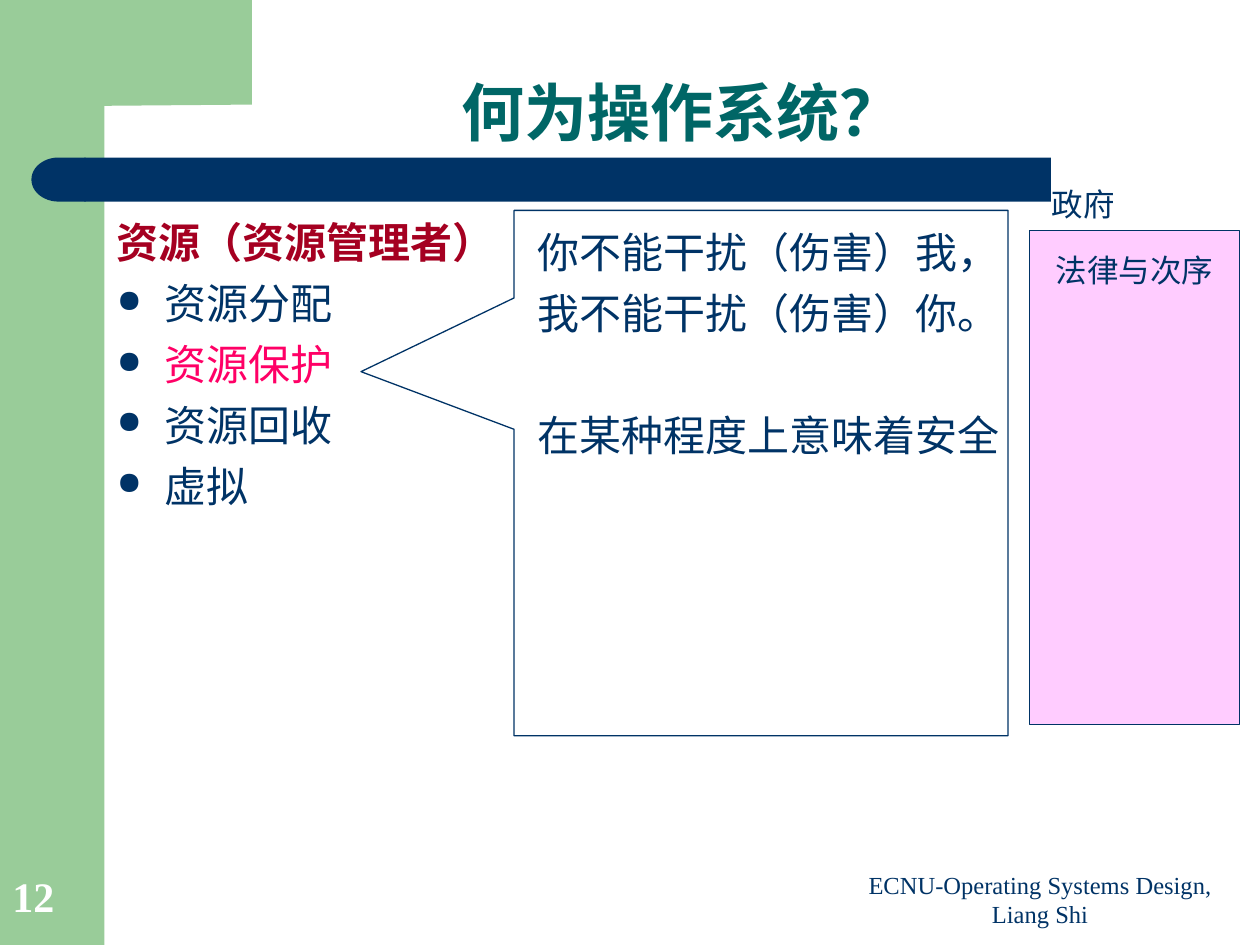
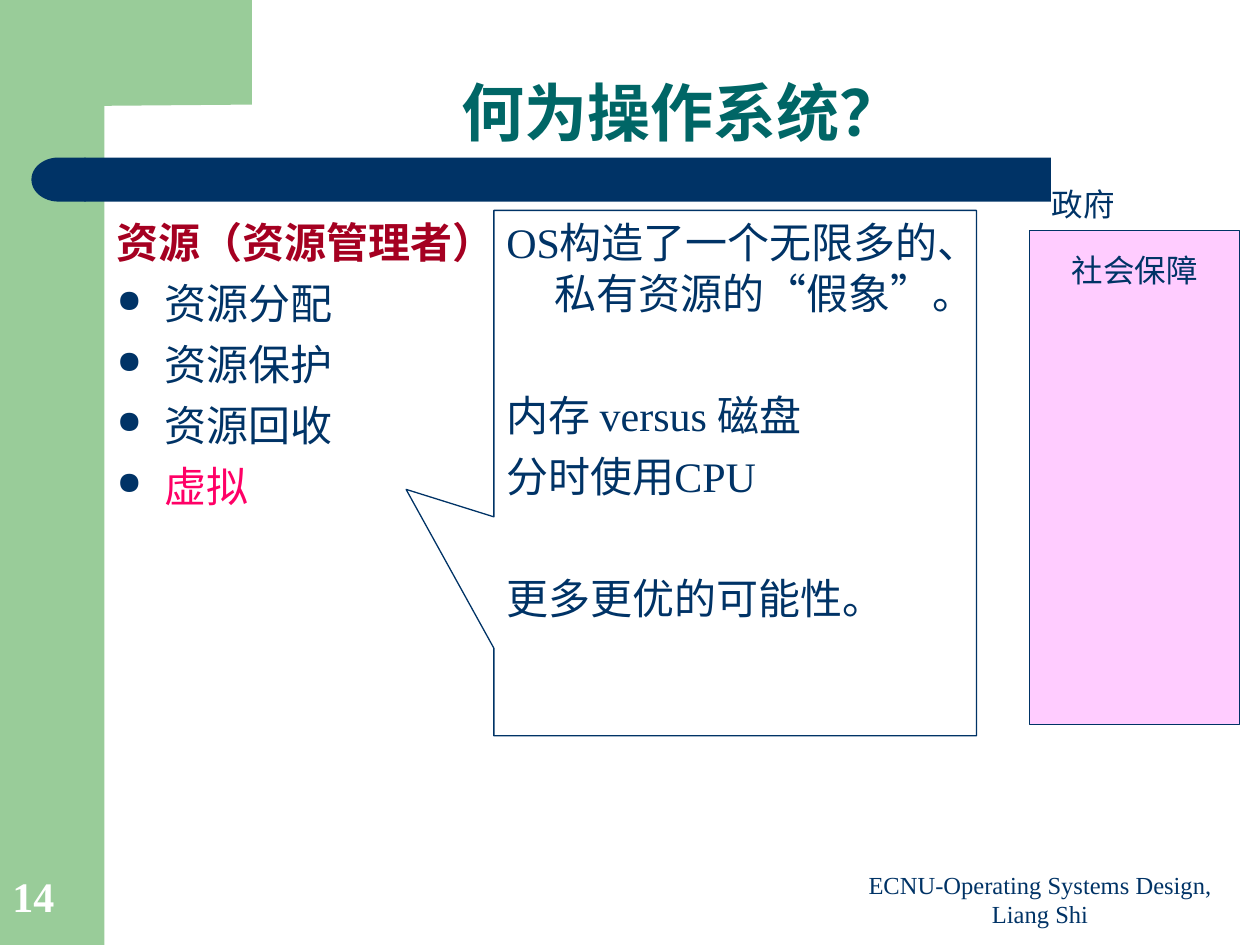
from dataclasses import dataclass

from lxml.etree import SubElement
from pptx import Presentation
from pptx.dml.color import RGBColor
from pptx.enum.shapes import MSO_SHAPE
from pptx.enum.text import MSO_ANCHOR, PP_ALIGN
from pptx.oxml.ns import qn
from pptx.util import Inches, Pt


@dataclass(frozen=True)
class Theme:
    green: str = "99CC99"
    navy: str = "003366"
    teal: str = "006666"
    crimson: str = "A50021"
    pink: str = "FF0066"
    lilac: str = "FFCCFF"
    white: str = "FFFFFF"
    sans: str = "Arial"
    serif: str = "Times New Roman"
    chinese: str = "Noto Sans CJK SC"
    title_size: float = 36
    body_size: float = 24
    label_size: float = 18
    footer_size: float = 14
    line_width: float = 0.75
    gap: float = 6
    section_gap: float = 41
    indent: float = 0.38


THEME = Theme()
TITLE = "何为操作系统？"
HEADING = "资源（资源管理者）"
DUTIES = ["资源分配", "资源保护", "资源回收", "虚拟"]
GOVERNMENT = "政府"
FOOTER = "ECNU-Operating Systems Design, Liang Shi"
CORNER = [(0.5, 0), (2, 0), (2, 0.83), (0.83, 0.84), (0.75, 0.86), (0.71, 0.92),
          (0.68, 1.04), (0.67, 1.16), (0.67, 1.28), (0.5, 1.28)]

PAGES = [
    {
        "number": "12",
        "highlight": "资源保护",
        "role": ("法律与次序", THEME.chinese),
        "callout": (4.08, 1.67, 3.92, 4.17),
        "pointer": (-0.81, -0.193),
        "notes_area": (4.17, 1.75, 4.12, 3.44),
        "notes": [
            (THEME.gap, [("你不能干扰（伤害）我，", THEME.sans)]),
            (THEME.gap, [("我不能干扰（伤害）你。", THEME.sans)]),
            (THEME.section_gap, [("在某种程度上意味着安全", THEME.sans)]),
        ],
    },
    {
        "number": "14",
        "highlight": "虚拟",
        "role": ("社会保障", THEME.sans),
        "callout": (3.92, 1.67, 3.83, 4.17),
        "pointer": (-0.682, 0.031),
        "notes_area": (3.92, 1.67, 4.04, 5.08),
        "notes": [
            (THEME.gap, [("OS", THEME.serif),
                         ("构造了一个无限多的、私有资源的“假象”。", THEME.chinese)]),
            (THEME.section_gap, [("内存 ", THEME.sans), ("versus ", THEME.serif),
                                 ("磁盘", THEME.sans)]),
            (THEME.gap, [("分时使用", THEME.sans), ("CPU", THEME.serif)]),
            (THEME.section_gap, [("更多更优的可能性。", THEME.sans)]),
        ],
    },
]


def color(value):
    return RGBColor.from_string(value)


def style_span(span, size, tint, font=THEME.sans, bold=False):
    span.font.size = Pt(size)
    span.font.name = font
    span.font.bold = bold
    span.font.color.rgb = color(tint)


def paint(shape, fill=None, line=None):
    shape.shadow.inherit = False
    if fill:
        shape.fill.solid()
        shape.fill.fore_color.rgb = color(fill)
    else:
        shape.fill.background()
    if line:
        shape.line.color.rgb = color(line)
        shape.line.width = Pt(THEME.line_width)
    else:
        shape.line.fill.background()
    return shape


def add_block(page, kind, area, fill=None, line=None):
    return paint(page.shapes.add_shape(kind, *map(Inches, area)), fill, line)


def add_box(page, area, anchor=MSO_ANCHOR.TOP, wrap=True):
    box = page.shapes.add_textbox(*map(Inches, area))
    box.text_frame.word_wrap = wrap
    box.text_frame.vertical_anchor = anchor
    return box


def add_label(page, area, text, size, tint, font=THEME.sans, bold=False,
              anchor=MSO_ANCHOR.BOTTOM, align=PP_ALIGN.CENTER, spacing=None, wrap=True):
    frame = add_box(page, area, anchor, wrap).text_frame
    frame.text = text
    para = frame.paragraphs[0]
    para.alignment = align
    para.line_spacing = spacing
    style_span(para.runs[0], size, tint, font, bold)


def next_para(frame, index, space):
    para = frame.add_paragraph() if index else frame.paragraphs[0]
    if index:
        para.space_before = Pt(space)
    properties = para._p.get_or_add_pPr()
    properties.set("marL", str(Inches(THEME.indent)))
    properties.set("indent", str(-Inches(THEME.indent)))
    return para


def add_bullet(para):
    properties = para._p.get_or_add_pPr()
    tint = SubElement(properties, qn("a:buClr"))
    SubElement(tint, qn("a:srgbClr"), val=THEME.navy)
    SubElement(properties, qn("a:buSzPct"), val="75000")
    SubElement(properties, qn("a:buChar"), char="●")


def add_frame(page, number):
    add_block(page, MSO_SHAPE.RECTANGLE, (0, 0, 0.83, 7.5), THEME.green)
    points = [(Inches(x), Inches(y)) for x, y in CORNER]
    outline = page.shapes.build_freeform(*points[0], scale=1.0)
    outline.add_line_segments(points[1:], close=True)
    paint(outline.convert_to_shape(), THEME.green)
    add_block(page, MSO_SHAPE.RECTANGLE, (0.67, 1.25, 7.67, 0.35), THEME.navy)
    cap = add_block(page, MSO_SHAPE.FLOWCHART_DELAY, (0.25, 1.25, 0.43, 0.35), THEME.navy)
    cap._element.spPr.xfrm.set("flipH", "1")
    add_label(page, (1.08, 0.58, 8.67, 0.66), TITLE, THEME.title_size, THEME.teal,
              bold=True, spacing=0.9)
    add_label(page, (6.67, 6.9, 3.17, 0.52), FOOTER, THEME.footer_size, THEME.navy,
              THEME.serif)
    add_label(page, (0, 6.83, 0.82, 0.53), number, THEME.body_size, THEME.white,
              THEME.serif, bold=True, align=PP_ALIGN.LEFT, spacing=0.9)


def add_duties(page, highlight):
    frame = add_box(page, (0.83, 1.67, 4.12, 3.73)).text_frame
    for index, text in enumerate([HEADING, *DUTIES]):
        para = next_para(frame, index, THEME.gap)
        if index:
            add_bullet(para)
        para.text = text
        tint = THEME.pink if text == highlight else THEME.navy
        style_span(para.runs[0], THEME.body_size, tint if index else THEME.crimson,
                   bold=index == 0)


def add_notes(page, area, notes):
    frame = add_box(page, area).text_frame
    for index, (space, spans) in enumerate(notes):
        para = next_para(frame, index, space)
        for text, font in spans:
            span = para.add_run()
            span.text = text
            style_span(span, THEME.body_size, THEME.navy, font)


def add_government(page, role, font):
    panel = (8.17, 1.83, 1.67, 3.92)
    add_block(page, MSO_SHAPE.RECTANGLE, panel, THEME.lilac, THEME.navy)
    add_label(page, (8.17, 1.94, 1.67, 0.4), role, THEME.label_size, THEME.navy, font,
              anchor=MSO_ANCHOR.TOP, wrap=False)
    add_label(page, (8.25, 1.42, 0.7, 0.4), GOVERNMENT, THEME.label_size, THEME.navy,
              anchor=MSO_ANCHOR.TOP, align=PP_ALIGN.LEFT, wrap=False)


def main():
    deck = Presentation()
    deck.slide_width, deck.slide_height = Inches(10), Inches(7.5)
    for content in PAGES:
        page = deck.slides.add_slide(deck.slide_layouts[6])
        add_frame(page, content["number"])
        add_duties(page, content["highlight"])
        add_notes(page, content["notes_area"], content["notes"])
        callout = add_block(page, MSO_SHAPE.RECTANGULAR_CALLOUT, content["callout"],
                            line=THEME.navy)
        for index, value in enumerate(content["pointer"]):
            callout.adjustments[index] = value
        add_government(page, *content["role"])
    deck.save("out.pptx")


if __name__ == "__main__":
    main()
